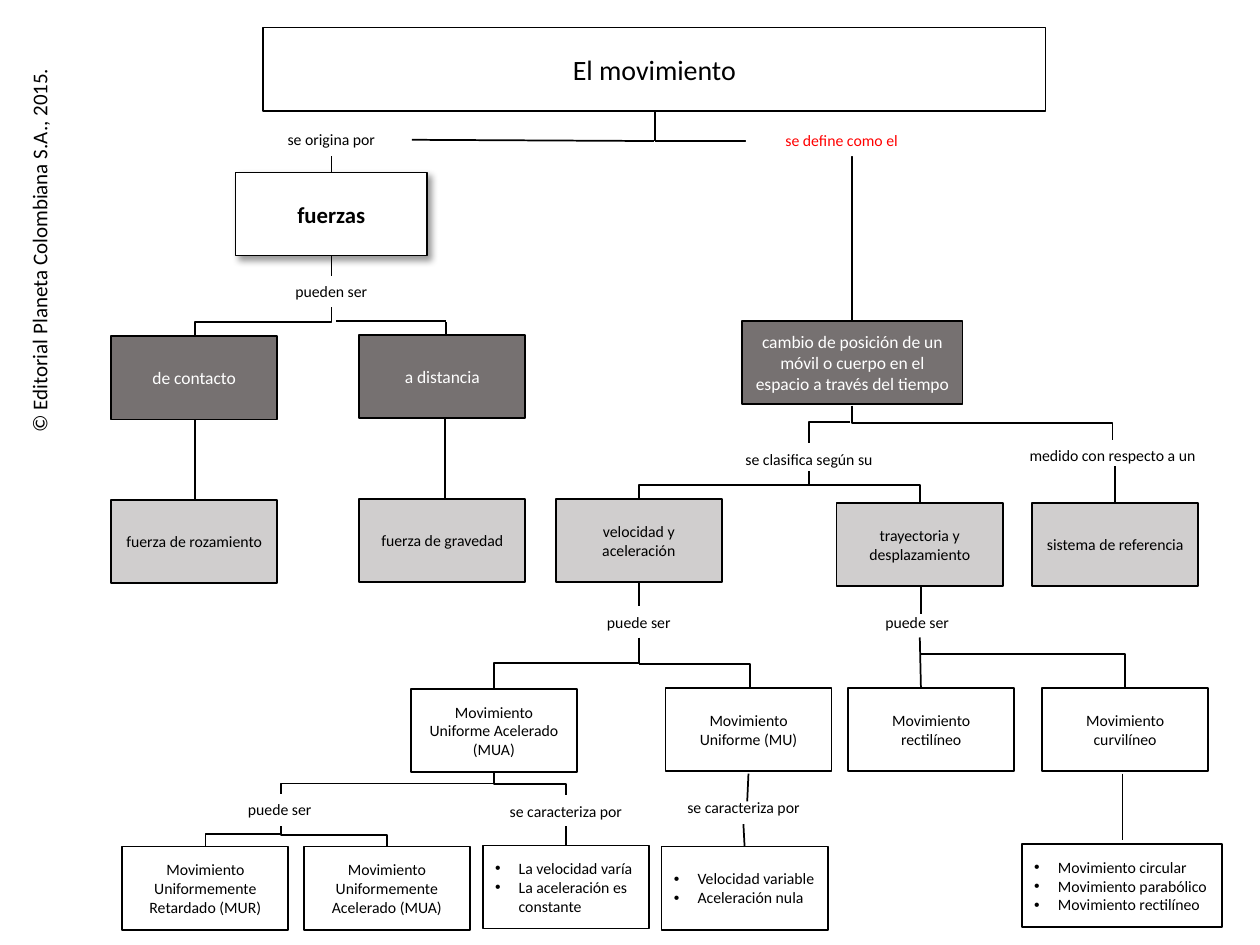
"""Build a one-page concept map about movement."""
from lxml import etree
from pptx import Presentation
from pptx.dml.color import RGBColor
from pptx.enum.shapes import MSO_CONNECTOR, MSO_SHAPE
from pptx.enum.text import MSO_ANCHOR, MSO_AUTO_SIZE, PP_ALIGN
from pptx.oxml.ns import qn
from pptx.util import Pt

STRAIGHT, ELBOW = MSO_CONNECTOR.STRAIGHT, MSO_CONNECTOR.ELBOW
RECTANGLE = MSO_SHAPE.RECTANGLE
MIDDLE = MSO_ANCHOR.MIDDLE
FIT_SHAPE = MSO_AUTO_SIZE.SHAPE_TO_FIT_TEXT
CENTER, LEFT = PP_ALIGN.CENTER, PP_ALIGN.LEFT
FONT = "Calibri"
COLORS = {"black": "000000", "white": "FFFFFF", "dark": "767171",
          "light": "D0CECE", "red": "FF0000"}
RGB = {name: RGBColor.from_string(value) for name, value in COLORS.items()}
NODE_WIDTH, NODE_HEIGHT = 95, 47.5
LABEL_WIDTH, LABEL_HEIGHT = 109.4, 18
BULLET_INDENT = 13.5

deck = Presentation()
deck.slide_width, deck.slide_height = Pt(720), Pt(540)
page = deck.slides.add_slide(deck.slide_layouts[6])


def write_text(box, lines, size, color="black", bold=False, align=CENTER, bullets=False):
    for index, line in enumerate(lines):
        frame = box.text_frame
        para = frame.paragraphs[0] if index == 0 else frame.add_paragraph()
        para.alignment = align
        if bullets:
            props = para._p.get_or_add_pPr()
            props.set("marL", str(Pt(BULLET_INDENT)))
            props.set("indent", str(-Pt(BULLET_INDENT)))
            etree.SubElement(props, qn("a:buFont"), typeface="Arial")
            etree.SubElement(props, qn("a:buChar"), char="•")
        span = para.add_run()
        span.text = line
        span.font.name = FONT
        span.font.size = Pt(size)
        span.font.bold = bold
        span.font.color.rgb = RGB[color]


def draw_connector(kind, x1, y1, x2, y2):
    connector = page.shapes.add_connector(kind, Pt(x1), Pt(y1), Pt(x2), Pt(y2))
    connector.line.color.rgb = RGB["black"]
    connector.line.width = Pt(1)
    etree.SubElement(connector._element.spPr, qn("a:effectLst"))
    return connector


copyright_box = page.shapes.add_textbox(Pt(-90), Pt(131), Pt(224.6), Pt(21.6))
copyright_box.rotation = 270
copyright_box.text_frame.word_wrap = False
copyright_box.text_frame.auto_size = FIT_SHAPE
write_text(copyright_box, ["© Editorial Planeta Colombiana S.A., 2015."], 12, align=LEFT)

straight_lines = [
    (373.7, 80.6, 235.4, 79.9), (189.4, 89.3, 189.4, 98.6),
    (189.4, 146.2, 189.4, 157.7), (192.2, 183.6, 254.9, 183.6),
    (254.9, 184.3, 254.9, 191.5), (486.7, 95, 486.7, 183.6),
    (111.6, 239.8, 111.6, 285.8), (254.2, 238.3, 254.2, 284.4),
    (462.2, 269.3, 462.2, 277.2), (637.2, 266.4, 637.2, 287.3),
    (365, 332.6, 365, 346.3), (526.3, 335.5, 526.3, 350.6),
    (525.6, 364.3, 526.3, 394.6), (427.7, 442.1, 427, 457.9),
    (424.8, 470.9, 425.5, 483.8), (323.3, 472.3, 323.3, 483.1),
    (641.5, 442.1, 641.5, 480.2),
]
for ends in straight_lines:
    draw_connector(STRAIGHT, *ends)

side_branches = [
    (374.4, 80.6, 486.7, 98.6), (486, 241.2, 462.2, 253.4),
    (462.2, 277.2, 365, 285.1), (462.2, 277.2, 525.6, 287.3),
    (365, 379.4, 428.4, 393.8), (525.6, 373.7, 643, 393.1),
    (282.2, 447.8, 160.6, 453.6), (160.6, 476.6, 117.4, 483.8),
]
for ends in side_branches:
    branch = draw_connector(ELBOW, *ends)
    branch._element.spPr.find(qn("a:prstGeom")).set("prst", "bentConnector2")

stepped_drops = [
    (374.4, 63.4, 374.4, 80.6, 50), (189.4, 175.7, 111.6, 192.2, 50),
    (486.7, 231.8, 635.8, 251.3, 50), (365, 364.3, 282.2, 393.8, 50),
    (282.2, 441.4, 323.3, 454.3, 50), (160.6, 472.3, 221, 483.8, 41.4),
]
for x1, y1, x2, y2, bend in stepped_drops:
    middle_x, middle_y = (x1 + x2) / 2, (y1 + y2) / 2
    half_drop, half_run = (y2 - y1) / 2, (x2 - x1) / 2
    drop = draw_connector(ELBOW, middle_x - half_drop, middle_y + half_run,
                          middle_x + half_drop, middle_y - half_run)
    drop._element.spPr.find(qn("a:xfrm")).set("rot", str(90 * 60000))
    guides = drop._element.spPr.find(qn("a:prstGeom")).find(qn("a:avLst"))
    etree.SubElement(guides, qn("a:gd"), name="adj1", fmla=f"val {round(bend * 1000)}")

nodes = [
    ("El movimiento", 150.5, 15.8, 447, "white", 16),
    ("fuerzas", 134.6, 98.6, 109.4, "white", 13),
    ("de contacto", 63.4, 192.2, NODE_WIDTH, "dark", 10),
    ("a distancia", 205.2, 191.5, NODE_WIDTH, "dark", 10),
    ("cambio de posición de un móvil o cuerpo en el espacio a través del tiempo",
     424, 183.6, 126, "dark", 10),
    ("fuerza de rozamiento", 63.4, 285.8, NODE_WIDTH, "light", 9),
    ("fuerza de gravedad", 205.2, 285.1, NODE_WIDTH, "light", 9),
    ("velocidad y aceleración", 317.5, 285.1, NODE_WIDTH, "light", 9),
    ("trayectoria y desplazamiento", 478, 287.3, NODE_WIDTH, "light", 9),
    ("sistema de referencia", 589.7, 287.3, NODE_WIDTH, "light", 9),
    ("Movimiento Uniforme Acelerado (MUA)", 234.7, 393.8, NODE_WIDTH, "white", 9),
    ("Movimiento Uniforme (MU)", 380.2, 393.1, NODE_WIDTH, "white", 9),
    ("Movimiento rectilíneo", 484.6, 393.1, NODE_WIDTH, "white", 9),
    ("Movimiento curvilíneo", 595.4, 393.1, NODE_WIDTH, "white", 9),
    ("Movimiento Uniformemente Retardado (MUR)", 69.8, 483.8, NODE_WIDTH, "white", 9),
    ("Movimiento Uniformemente Acelerado (MUA)", 173.5, 483.8, NODE_WIDTH, "white", 9),
    (["La velocidad varía", "La aceleración es constante"],
     275.8, 483.1, NODE_WIDTH, "white", 9),
    (["Velocidad variable", "Aceleración nula"], 378, 483.8, NODE_WIDTH, "white", 9),
    (["Movimiento circular", "Movimiento parabólico", "Movimiento rectilíneo"],
     583.9, 482.4, 114.5, "white", 9),
]
for text, left, top, width, fill, size in nodes:
    node = page.shapes.add_shape(RECTANGLE, Pt(left), Pt(top), Pt(width), Pt(NODE_HEIGHT))
    node.shadow.inherit = False
    node.fill.solid()
    node.fill.fore_color.rgb = RGB[fill]
    node.line.color.rgb = RGB["black"]
    node.line.width = Pt(1)
    node.text_frame.word_wrap = True
    node.text_frame.vertical_anchor = MIDDLE
    is_list = isinstance(text, list)
    is_forces = text == "fuerzas"
    write_text(node, text if is_list else [text], size,
               color="white" if fill == "dark" else "black", bold=is_forces,
               align=LEFT if is_list else CENTER, bullets=is_list)
    if is_forces:
        effects = node._element.spPr.find(qn("a:effectLst"))
        shadow = etree.SubElement(effects, qn("a:outerShdw"), blurRad=str(Pt(4)),
                                  dist=str(Pt(3)), dir=str(45 * 60000),
                                  algn="tl", rotWithShape="0")
        tint = etree.SubElement(shadow, qn("a:srgbClr"), val=COLORS["black"])
        etree.SubElement(tint, qn("a:alpha"), val="40000")

labels = [
    ("se origina por", 134.6, 70.6, "black"),
    ("pueden ser", 134.6, 157.7, "black"),
    ("se clasifica según su", 407.5, 253.4, "black"),
    ("medido con respecto a un", 581, 251.3, "black"),
    ("puede ser", 310.3, 346.3, "black"),
    ("puede ser", 469.4, 346.3, "black"),
    ("puede ser", 105.1, 453.6, "black"),
    ("se caracteriza por", 268.6, 454.3, "black"),
    ("se caracteriza por", 370.1, 452.2, "black"),
    ("se define como el", 426.2, 71.3, "red"),
]
for text, left, top, color in labels:
    label = page.shapes.add_textbox(Pt(left), Pt(top), Pt(LABEL_WIDTH), Pt(LABEL_HEIGHT))
    label.text_frame.word_wrap = True
    label.text_frame.auto_size = FIT_SHAPE
    write_text(label, [text], 9, color=color)
    if color == "red":
        label.fill.solid()
        label.fill.fore_color.rgb = RGB["white"]

deck.save("out.pptx")
